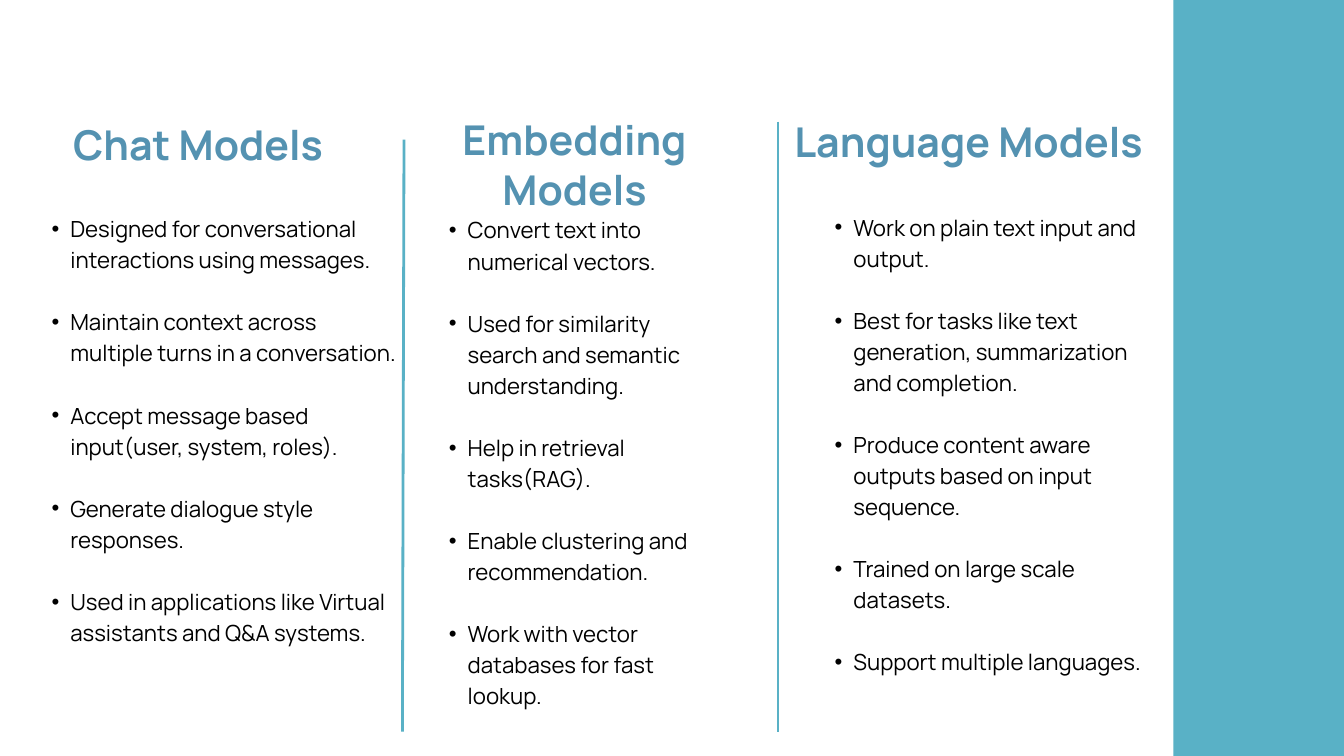
import dataclasses

import lxml.etree
import pptx
import pptx.dml.color
import pptx.enum.shapes
import pptx.enum.text
import pptx.oxml.ns
import pptx.util
from pptx.util import Cm


@dataclasses.dataclass(frozen=True)
class Theme:
    font: str = "Manrope"
    accent: str = "59B1C6"
    heading_color: str = "5492B1"
    text_color: str = "000000"
    heading_size: float = 44
    heading_spacing: float = 52.8
    body_size: float = 23.8
    body_spacing: float = 33.3
    rule_width: float = 3


@dataclasses.dataclass(frozen=True)
class Box:
    """Left, top, width and height in centimetres."""
    left: float
    top: float
    width: float
    height: float


@dataclasses.dataclass(frozen=True)
class Column:
    heading: str
    box: Box               # the heading spans the box width
    heading_height: float
    list_inset: float      # list position relative to the box
    list_drop: float
    list_width: float
    items: tuple


THEME = Theme()
SLIDE = Box(0, 0, 50.8, 28.58)
BAND = Box(44.35, 0, 6.45, SLIDE.height)
BULLET_INDENT = 1.42
BULLET_HANG = 0.71

COLUMNS = (
    Column("Chat Models", Box(1.24, 4.5, 12.5, 22.12), 1.96, 0, 3.48, 13.97, (
        "Designed for conversational interactions using messages.",
        "Maintain context across multiple turns in a conversation.",
        "Accept message based input(user, system, roles).",
        "Generate dialogue style responses.",
        "Used in applications like Virtual assistants and Q&A systems.",
    )),
    Column("Embedding Models", Box(15.65, 4.34, 12.14, 22.36), 3.81, 0.61, 3.69, 10.97, (
        "Convert text into numerical vectors.",
        "Used for similarity search and semantic understanding.",
        "Help in retrieval tasks(RAG).",
        "Enable clustering and recommendation.",
        "Work with vector databases for fast lookup.",
    )),
    Column("Language Models", Box(29.92, 4.42, 13.39, 22.17), 3.81, 0.92, 3.5, 12.83, (
        "Work on plain text input and output.",
        "Best for tasks like text generation, summarization and completion.",
        "Produce content aware outputs based on input sequence.",
        "Trained on large scale datasets.",
        "Support multiple languages.",
    )),
)

# Start x, start y, end x, end y
DIVIDERS = ((15.27, 5.28, 15.21, 27.66), (29.41, 4.6, 29.41, 27.66))


def rgb(value):
    return pptx.dml.color.RGBColor.from_string(value)


def add_text_frame(slide, box):
    shape = slide.shapes.add_textbox(Cm(box.left), Cm(box.top), Cm(box.width), Cm(box.height))
    frame = shape.text_frame
    frame.word_wrap = True
    frame.auto_size = pptx.enum.text.MSO_AUTO_SIZE.SHAPE_TO_FIT_TEXT
    frame.margin_left = frame.margin_top = frame.margin_right = frame.margin_bottom = 0
    return frame


def add_run(paragraph, text, size, color, bold=False):
    run = paragraph.add_run()
    run.text = text
    run.font.name = THEME.font
    run.font.size = pptx.util.Pt(size)
    run.font.bold = bold
    run.font.color.rgb = rgb(color)


def set_bullet(paragraph):
    properties = paragraph._p.get_or_add_pPr()
    properties.set("marL", str(Cm(BULLET_INDENT)))
    properties.set("indent", str(-Cm(BULLET_HANG)))
    font = lxml.etree.SubElement(properties, pptx.oxml.ns.qn("a:buFont"))
    font.set("typeface", "Arial")
    bullet = lxml.etree.SubElement(properties, pptx.oxml.ns.qn("a:buChar"))
    bullet.set("char", "•")


def add_heading(slide, box, text):
    paragraph = add_text_frame(slide, box).paragraphs[0]
    paragraph.alignment = pptx.enum.text.PP_ALIGN.CENTER
    paragraph.line_spacing = pptx.util.Pt(THEME.heading_spacing)
    add_run(paragraph, text, THEME.heading_size, THEME.heading_color, bold=True)


def add_bullet_list(slide, box, items):
    frame = add_text_frame(slide, box)
    for index, item in enumerate(items):
        paragraph = frame.paragraphs[0] if index == 0 else frame.add_paragraph()
        set_bullet(paragraph)
        paragraph.line_spacing = pptx.util.Pt(THEME.body_spacing)
        if index > 0:
            paragraph.space_before = pptx.util.Pt(THEME.body_spacing)
        add_run(paragraph, item, THEME.body_size, THEME.text_color)


def add_column(slide, column):
    box = column.box
    add_heading(slide, Box(box.left, box.top, box.width, column.heading_height), column.heading)
    list_box = Box(box.left + column.list_inset, box.top + column.list_drop,
                   column.list_width, box.height - column.list_drop)
    add_bullet_list(slide, list_box, column.items)


def add_side_band(slide, box):
    shape = slide.shapes.add_shape(pptx.enum.shapes.MSO_SHAPE.RECTANGLE,
                                   Cm(box.left), Cm(box.top), Cm(box.width), Cm(box.height))
    shape.shadow.inherit = False
    shape.fill.solid()
    shape.fill.fore_color.rgb = rgb(THEME.accent)
    shape.line.fill.background()


def add_divider(slide, ends):
    connector = slide.shapes.add_connector(pptx.enum.shapes.MSO_CONNECTOR.STRAIGHT,
                                           *(Cm(value) for value in ends))
    connector.line.color.rgb = rgb(THEME.accent)
    connector.line.width = pptx.util.Pt(THEME.rule_width)
    lxml.etree.SubElement(connector._element.spPr, pptx.oxml.ns.qn("a:effectLst"))


def main():
    presentation = pptx.Presentation()
    presentation.slide_width = Cm(SLIDE.width)
    presentation.slide_height = Cm(SLIDE.height)
    # The three column headings stand alone, so the blank layout is used
    slide = presentation.slides.add_slide(presentation.slide_layouts[6])

    add_side_band(slide, BAND)
    for column in COLUMNS:
        add_column(slide, column)
    for ends in DIVIDERS:
        add_divider(slide, ends)

    presentation.save("out.pptx")


if __name__ == "__main__":
    main()
